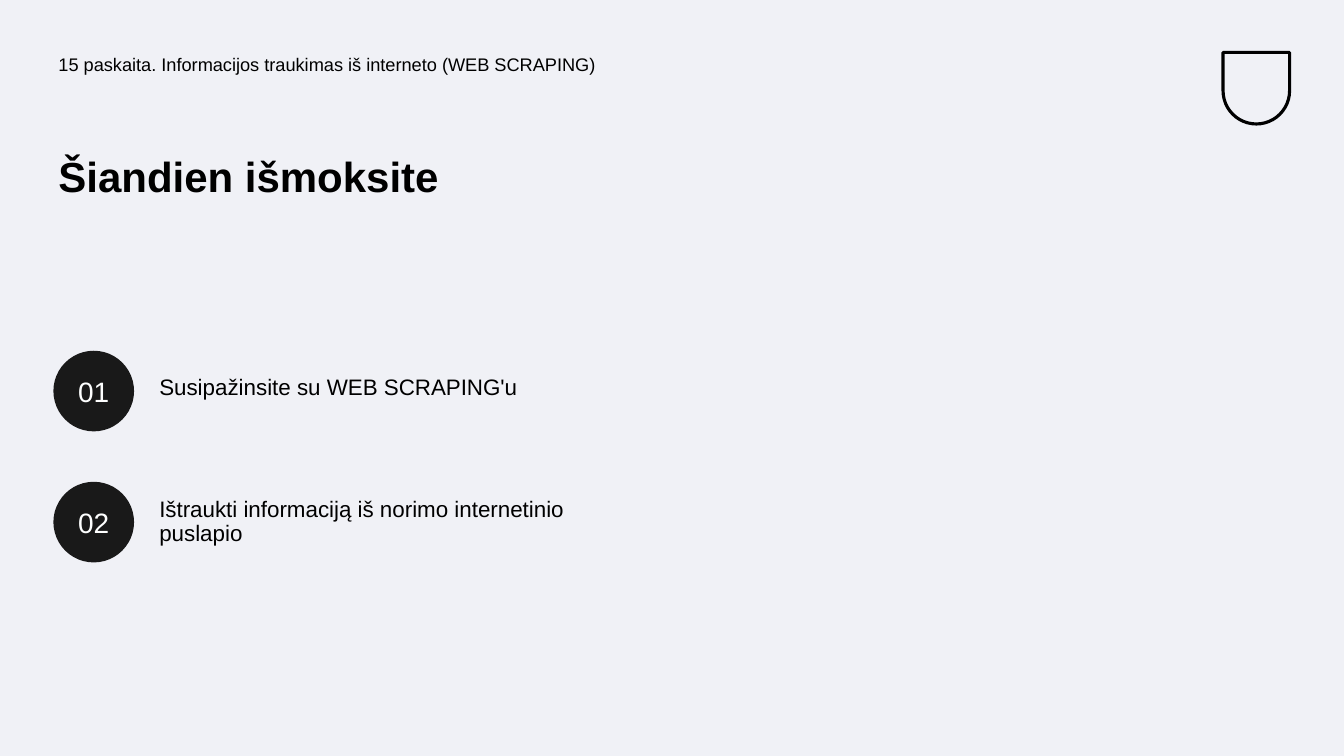
from pptx import Presentation
from pptx.dml.color import RGBColor
from pptx.enum.shapes import MSO_SHAPE
from pptx.enum.text import MSO_ANCHOR, PP_ALIGN
from pptx.util import Inches, Pt

BLACK = RGBColor(0x00, 0x00, 0x00)
DARK = RGBColor(0x19, 0x19, 0x19)
WHITE = RGBColor(0xFE, 0xFF, 0xFF)
PALE = RGBColor(0xF0, 0xF1, 0xF6)
OVAL = MSO_SHAPE.OVAL
SHIELD = MSO_SHAPE.ROUND_2_SAME_RECTANGLE
TOP, MIDDLE = MSO_ANCHOR.TOP, MSO_ANCHOR.MIDDLE
LEFT, CENTER = PP_ALIGN.LEFT, PP_ALIGN.CENTER
TITLE_ONLY = 5

EDGE = 0.53
GOALS = [
    ("Susipažinsite su WEB SCRAPING'u", 3.48, 3.68),
    ("Ištraukti informaciją iš norimo internetinio puslapio", 4.78, 4.89),
]


class Deck:
    font = "Arial"
    inset = Inches(0.05)

    def __init__(self):
        self.file = Presentation()
        self.file.slide_width = Inches(13.33)
        self.file.slide_height = Inches(7.5)
        layout = self.file.slide_layouts[TITLE_ONLY]
        self.slide = self.file.slides.add_slide(layout)
        fill = self.slide.background.fill
        fill.solid()
        fill.fore_color.rgb = PALE

    def set_text(self, shape, text, size, color=BLACK, bold=False,
                 align=LEFT, anchor=TOP, gap=0, line=0.9):
        frame = shape.text_frame
        frame.text = text
        frame.word_wrap = True
        frame.vertical_anchor = anchor
        frame.margin_left = frame.margin_right = self.inset
        frame.margin_top = frame.margin_bottom = self.inset
        para = frame.paragraphs[0]
        para.alignment = align
        para.line_spacing = line
        para.space_before = Pt(gap)
        font = para.runs[0].font
        font.name, font.size, font.bold = self.font, Pt(size), bold
        font.color.rgb = color

    def title(self, text, x, y, w, h):
        shape = self.slide.shapes.title
        shape.left, shape.top = Inches(x), Inches(y)
        shape.width, shape.height = Inches(w), Inches(h)
        self.set_text(shape, text, 30, bold=True)

    def label(self, text, x, y, w, h, size):
        box = self.slide.shapes.add_textbox(
            Inches(x), Inches(y), Inches(w), Inches(h))
        self.set_text(box, text, size, gap=10)

    def badge(self, text, x, y, side):
        disc = self.slide.shapes.add_shape(
            OVAL, Inches(x), Inches(y), Inches(side), Inches(side))
        disc.shadow.inherit = False
        disc.fill.solid()
        disc.fill.fore_color.rgb = DARK
        disc.line.fill.background()
        self.set_text(disc, text, 20, WHITE, align=CENTER, anchor=MIDDLE,
                      line=1)

    def crest(self, x, y, w, h):
        """Draw a plain outlined shield, rounded at the bottom."""
        mark = self.slide.shapes.add_shape(
            SHIELD, Inches(x), Inches(y), Inches(w), Inches(h))
        mark.adjustments[0] = 0.5
        mark.rotation = 180
        mark.shadow.inherit = False
        mark.fill.background()
        mark.line.color.rgb = BLACK
        mark.line.width = Pt(2.25)


def main():
    deck = Deck()
    deck.crest(12.13, 0.52, 0.66, 0.71)
    deck.label("15 paskaita. Informacijos traukimas iš interneto (WEB SCRAPING)",
               EDGE, 0.5, 6.14, 0.5, 13)
    deck.title("Šiandien išmoksite", EDGE, 1.5, 5.64, 1.49)
    for num, (goal, disc_y, text_y) in enumerate(GOALS, 1):
        deck.badge(f"{num:02}", EDGE, disc_y, 0.8)
        deck.label(goal, EDGE + 1, text_y, 4.63, 0.5, 16)
    deck.file.save("out.pptx")


if __name__ == "__main__":
    main()
